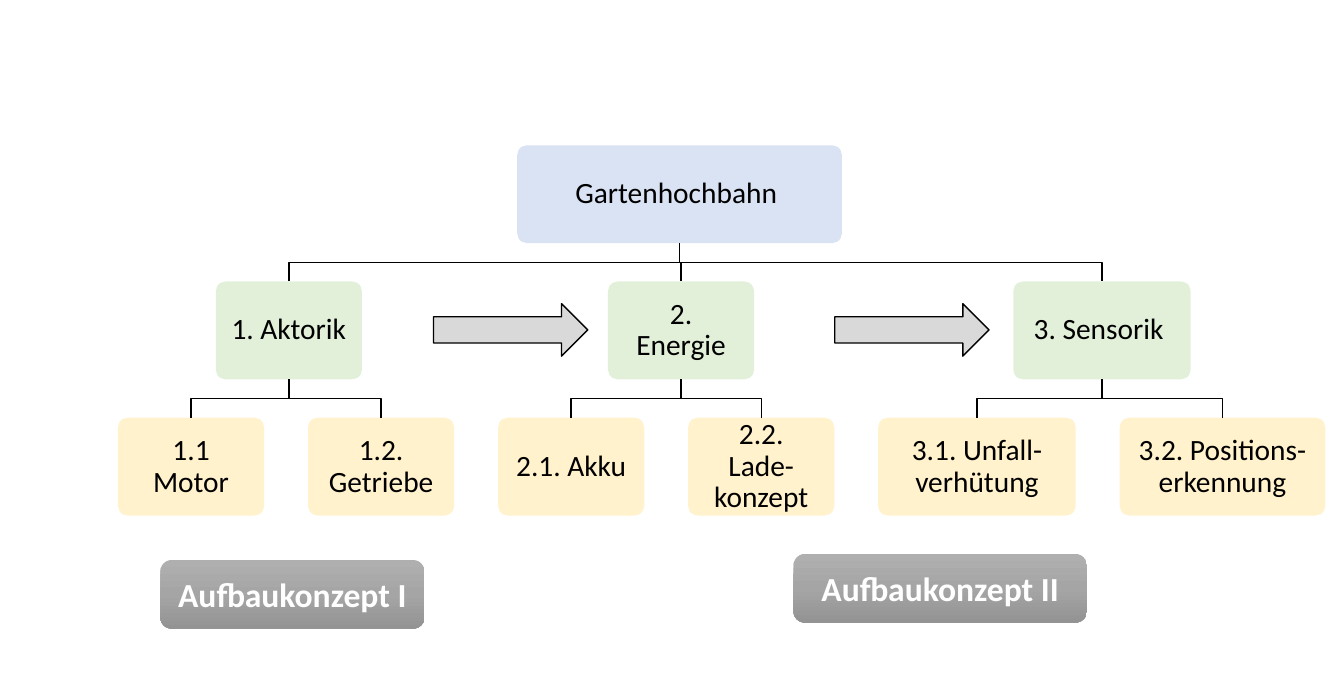
from copy import deepcopy

from pptx import Presentation
from pptx.dml.color import RGBColor as RGB
from pptx.enum.shapes import MSO_SHAPE as SHAPE
from pptx.enum.text import MSO_ANCHOR as ANCHOR, PP_ALIGN as ALIGN
from pptx.util import Inches, Pt

# Content: (text, left, width); leaves are (text, width), spaced evenly
ROOT = ("Gartenhochbahn ", 5.13, 3.22)
BRANCHES = [
    (("1. Aktorik ", 2.14, 1.45), [("1.1 Motor", 1.45), ("1.2. Getriebe", 1.45)]),
    (("2. Energie", 6.03, 1.45), [("2.1. Akku ", 1.45), ("2.2. Lade-konzept", 1.45)]),
    (("3. Sensorik ", 10.05, 1.76),
     [("3.1. Unfall-verhütung", 1.96), ("3.2. Positions-erkennung", 2.04)]),
]
# (text, left, top, width)
CONCEPTS = [("Aufbaukonzept I", 1.59, 5.55, 2.62), ("Aufbaukonzept II", 7.87, 5.49, 2.91)]
ARROW_LEFTS = [4.3, 8.28]

COLORS = {"root": "DAE3F3", "branch": "E2F0D9", "leaf": "FFF2CC", "arrow": "D9D9D9",
          "line": "000000", "text": "000000", "concept_text": "FFFFFF"}
CONCEPT_GRADIENT = ["AFAFAF", "A5A5A5", "939393"]
TOPS = {"root": 1.44, "branch": 2.79, "leaf": 4.14}
BOX_H, LEAF_LEFT, LEAF_GAP = 0.97, 1.17, 0.435
NODE_FONT = {"name": "Calibri", "size": Pt(21), "bold": False}
CONCEPT_FONT = {"name": "Calibri", "size": Pt(24), "bold": True}
NODE_PARAGRAPH = {"alignment": ALIGN.CENTER, "line_spacing": 0.9, "space_after": Pt(7.35)}
CONCEPT_PARAGRAPH = {"alignment": ALIGN.CENTER}
NODE_FRAME = {"word_wrap": True, "vertical_anchor": ANCHOR.MIDDLE,
              **{f"margin_{side}": Inches(0.12) for side in ("left", "top", "right", "bottom")}}
CONCEPT_FRAME = {"word_wrap": True, "vertical_anchor": ANCHOR.MIDDLE}


def apply(target, values):
    """Set every attribute in values on target."""
    for name, value in values.items():
        setattr(target, name, value)


def color(name):
    """Return the named colour."""
    return RGB.from_string(COLORS[name])


def outline(sp):
    """Give a shape the thin black line."""
    sp.line.color.rgb = color("line")
    sp.line.width = Pt(1)


def add_shape(kind, left, top, width, height, fill=None):
    """Add a preset shape without line or shadow."""
    sp = slide.shapes.add_shape(kind, *map(Inches, (left, top, width, height)))
    sp.shadow.inherit = False
    sp.line.fill.background()
    if fill:
        sp.fill.solid()
        sp.fill.fore_color.rgb = color(fill)
    return sp


def write(sp, text, frame, paragraph, font, font_color):
    """Put one formatted paragraph into a shape."""
    tf = sp.text_frame
    apply(tf, frame)
    p = tf.paragraphs[0]
    apply(p, paragraph)
    r = p.add_run()
    r.text = text
    apply(r.font, font)
    r.font.color.rgb = color(font_color)


def add_node(level, text, left, width):
    """Add a tree box and return its horizontal centre."""
    sp = add_shape(SHAPE.ROUNDED_RECTANGLE, left, TOPS[level], width, BOX_H, level)
    sp.adjustments[0] = 0.1
    write(sp, text, NODE_FRAME, NODE_PARAGRAPH, NODE_FONT, "text")
    return left + width / 2


def add_link(parent_level, parent_x, child_level, child_x):
    """Draw an elbow line from a parent's bottom to a child's top."""
    start, end = TOPS[parent_level] + BOX_H, TOPS[child_level]
    middle = (start + end) / 2
    points = [(parent_x, middle), (child_x, middle), (child_x, end)]
    builder = slide.shapes.build_freeform(Inches(parent_x), Inches(start))
    builder.add_line_segments([(Inches(x), Inches(y)) for x, y in points], close=False)
    sp = builder.convert_to_shape()
    sp.shadow.inherit = False
    sp.fill.background()
    outline(sp)


def fill_gradient(sp, hexes):
    """Fill a shape from top to bottom with three colours."""
    sp.fill.gradient()
    sp.fill.gradient_angle = 270
    first = sp._element.xpath(".//a:gsLst/a:gs")[0]
    first.addnext(deepcopy(first))
    for i, (stop, code) in enumerate(zip(sp.fill.gradient_stops, hexes)):
        stop.position = i / (len(hexes) - 1)
        stop.color.rgb = RGB.from_string(code)


prs = Presentation()
prs.slide_width, prs.slide_height = Inches(13.33), Inches(6.69)
slide = prs.slides.add_slide(prs.slide_layouts[6])

root_x = add_node("root", *ROOT)
leaf_left = LEAF_LEFT
for branch, leaves in BRANCHES:
    branch_x = add_node("branch", *branch)
    add_link("root", root_x, "branch", branch_x)
    for text, width in leaves:
        leaf_x = add_node("leaf", text, leaf_left, width)
        add_link("branch", branch_x, "leaf", leaf_x)
        leaf_left += width + LEAF_GAP

for left in ARROW_LEFTS:
    outline(add_shape(SHAPE.RIGHT_ARROW, left, 3.01, 1.53, 0.52, "arrow"))

for text, left, top, width in CONCEPTS:
    sp = add_shape(SHAPE.ROUNDED_RECTANGLE, left, top, width, 0.68)
    fill_gradient(sp, CONCEPT_GRADIENT)
    write(sp, text, CONCEPT_FRAME, CONCEPT_PARAGRAPH, CONCEPT_FONT, "concept_text")

prs.save("out.pptx")
